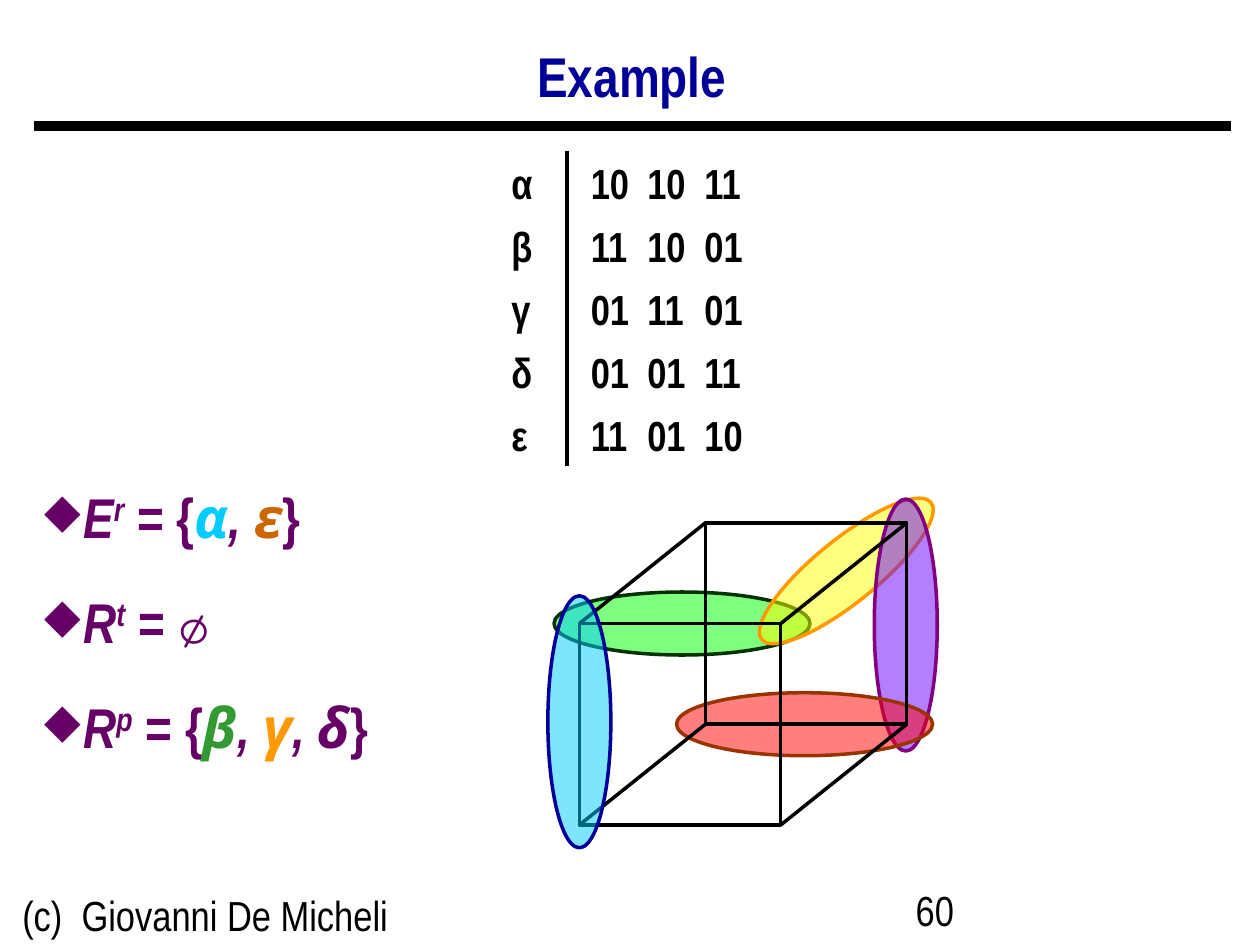
from lxml import etree
from pptx import Presentation
from pptx.dml.color import RGBColor
from pptx.enum.shapes import MSO_CONNECTOR, MSO_SHAPE
from pptx.enum.text import MSO_ANCHOR, PP_ALIGN
from pptx.oxml.ns import qn
from pptx.util import Cm, Pt

LINE = MSO_CONNECTOR.STRAIGHT
OVAL, RECT = MSO_SHAPE.OVAL, MSO_SHAPE.RECTANGLE
TOP, MIDDLE = MSO_ANCHOR.TOP, MSO_ANCHOR.MIDDLE
LEFT, CENTER = PP_ALIGN.LEFT, PP_ALIGN.CENTER

BLACK = RGBColor(0x00, 0x00, 0x00)
NAVY = RGBColor(0x00, 0x00, 0x99)
PLUM = RGBColor(0x66, 0x00, 0x66)
CYAN = RGBColor(0x00, 0xCC, 0xFF)
BROWN = RGBColor(0xCC, 0x66, 0x00)
LEAF = RGBColor(0x33, 0x99, 0x33)
ORANGE = RGBColor(0xFF, 0x99, 0x00)
GREEN = RGBColor(0x00, 0xFF, 0x00)
DARK_GREEN = RGBColor(0x00, 0x33, 0x00)
YELLOW = RGBColor(0xFF, 0xFF, 0x00)
VIOLET = RGBColor(0x66, 0x00, 0xFF)
PURPLE = RGBColor(0x80, 0x00, 0x80)
RED = RGBColor(0xFF, 0x00, 0x00)
RUST = RGBColor(0x99, 0x33, 0x00)

NARROW, GREEK, MONO = "Arial Narrow", "Noto Sans", "Courier New"

TITLE = "Example"
FOOTER = "(c)  Giovanni De Micheli"
PAGE = "60"
CUBES = [
    ("α", "10", "10", "11"),
    ("β", "11", "10", "01"),
    ("γ", "01", "11", "01"),
    ("δ", "01", "01", "11"),
    ("ε", "11", "01", "10"),
]
# Set name, superscript, then (text, font, colour, italic) runs
SETS = [
    ("E", "r", [(" = {", NARROW, PLUM, False), ("α", GREEK, CYAN, True),
                (", ", NARROW, PLUM, True), ("ε", GREEK, BROWN, True),
                ("}", NARROW, PLUM, False)]),
    ("R", "t", [(" = ", NARROW, PLUM, False), ("∅", MONO, PLUM, False)]),
    ("R", "p", [(" = {", NARROW, PLUM, False), ("β", GREEK, LEAF, True),
                (", ", NARROW, PLUM, True), ("γ", GREEK, ORANGE, True),
                (", ", NARROW, PLUM, True), ("δ", GREEK, PLUM, True),
                ("}", NARROW, PLUM, False)]),
]

# Cube geometry in cm: front face corner, side, offset of the back face
FRONT_X, FRONT_Y, SIDE = 11.68, 12.57, 4.06
BACK_DX, BACK_DY = 2.54, -2.03
OVAL_H = 1.27
# Centre x, centre y, length, rotation, fill, outline
OVALS = [
    (13.75, 12.57, 5.16, 0, GREEN, DARK_GREEN),
    (17.06, 11.51, 4.39, 321, YELLOW, ORANGE),
    (18.26, 12.6, 5.08, 270, VIOLET, PURPLE),
    (16.22, 14.6, 5.16, 0, RED, RUST),
]
FRONT_OVAL = (11.68, 14.55, 5.08, 270, CYAN, NAVY)

ROWS_X, ROWS_Y, ROW_H = 10.06, 3.05, 1.27
COLUMN_STOPS = (1.6, 2.74, 3.89)
DIVIDER_X = 11.43

prs = Presentation()
prs.slide_width, prs.slide_height = Cm(25.4), Cm(19.05)
s = prs.slides.add_slide(prs.slide_layouts[6])


def style(font, size, color, name=NARROW, bold=False, italic=False):
    font.size, font.name, font.bold, font.italic = Pt(size), name, bold, italic
    font.color.rgb = color


def add_box(x, y, w, h, anchor=TOP):
    tf = s.shapes.add_textbox(Cm(x), Cm(y), Cm(w), Cm(h)).text_frame
    tf.word_wrap = True
    tf.vertical_anchor = anchor
    return tf


def add_label(text, x, y, w, h, size=24, color=BLACK, bold=False,
              align=LEFT, anchor=TOP, stops=()):
    p = add_box(x, y, w, h, anchor).paragraphs[0]
    p.text, p.alignment = text, align
    if stops:
        tabs = etree.SubElement(p._p.get_or_add_pPr(), qn("a:tabLst"))
        for stop in stops:
            etree.SubElement(tabs, qn("a:tab"), pos=str(Cm(stop)), algn="l")
    style(p.runs[0].font, size, color, bold=bold)


def add_line(x1, y1, x2, y2, width=2):
    c = s.shapes.add_connector(LINE, Cm(x1), Cm(y1), Cm(x2), Cm(y2))
    c.line.color.rgb, c.line.width = BLACK, Pt(width)
    etree.SubElement(c._element.spPr, qn("a:effectLst"))


def add_outline(kind, x, y, w, h, color):
    sp = s.shapes.add_shape(kind, Cm(x), Cm(y), Cm(w), Cm(h))
    sp.shadow.inherit = False
    sp.fill.background()
    sp.line.color.rgb, sp.line.width = color, Pt(2)
    return sp


def add_oval(cx, cy, length, rotation, fill, line):
    """Half-transparent ellipse around a cube edge."""
    sp = add_outline(OVAL, cx - length / 2, cy - OVAL_H / 2, length, OVAL_H, line)
    sp.rotation = rotation
    sp.fill.solid()
    sp.fill.fore_color.rgb = fill
    clr = sp._element.spPr.find(qn("a:solidFill"))[0]
    etree.SubElement(clr, qn("a:alpha"), val="50000")


def add_bullet(p):
    pPr = p._p.get_or_add_pPr()
    pPr.set("marL", str(Cm(0.79)))
    pPr.set("indent", str(-Cm(0.79)))
    clr = etree.SubElement(pPr, qn("a:buClr"))
    etree.SubElement(clr, qn("a:srgbClr"), val=str(PLUM))
    etree.SubElement(pPr, qn("a:buSzPct"), val="85000")
    etree.SubElement(pPr, qn("a:buChar"), char="◆")


add_line(0.69, 2.54, 24.82, 2.54, width=6)
add_label(FOOTER, 0.2, 17.81, 8.03, 1.32)
add_label(PAGE, 18.21, 17.7, 5.92, 1.32)
add_label(TITLE, 0.66, 0.56, 24.16, 1.91, 32, NAVY, True, CENTER, MIDDLE)

tf = add_box(0.64, 9.27, 24.16, 8.18)
for i, (name, power, rest) in enumerate(SETS):
    p = tf.add_paragraph() if i else tf.paragraphs[0]
    p.line_spacing = 1.25
    if i:
        p.space_before = Pt(12)
    add_bullet(p)
    head = [(name, NARROW, PLUM, True), (power, NARROW, PLUM, True)]
    for text, font, color, italic in head + rest:
        r = p.add_run()
        r.text = text
        style(r.font, 32, color, font, True, italic)
    p.runs[1].font._element.set("baseline", "30000")

for i, row in enumerate(CUBES):
    add_label("\t".join(row), ROWS_X, ROWS_Y + i * ROW_H, 5.6, ROW_H,
              bold=True, stops=COLUMN_STOPS)
add_line(DIVIDER_X, ROWS_Y, DIVIDER_X, ROWS_Y + len(CUBES) * ROW_H)

for oval in OVALS:
    add_oval(*oval)
for dx, dy in ((0, 0), (BACK_DX, BACK_DY)):
    add_outline(RECT, FRONT_X + dx, FRONT_Y + dy, SIDE, SIDE, BLACK)
for x in (FRONT_X, FRONT_X + SIDE):
    for y in (FRONT_Y, FRONT_Y + SIDE):
        add_line(x, y, x + BACK_DX, y + BACK_DY)
add_oval(*FRONT_OVAL)

prs.save("out.pptx")
